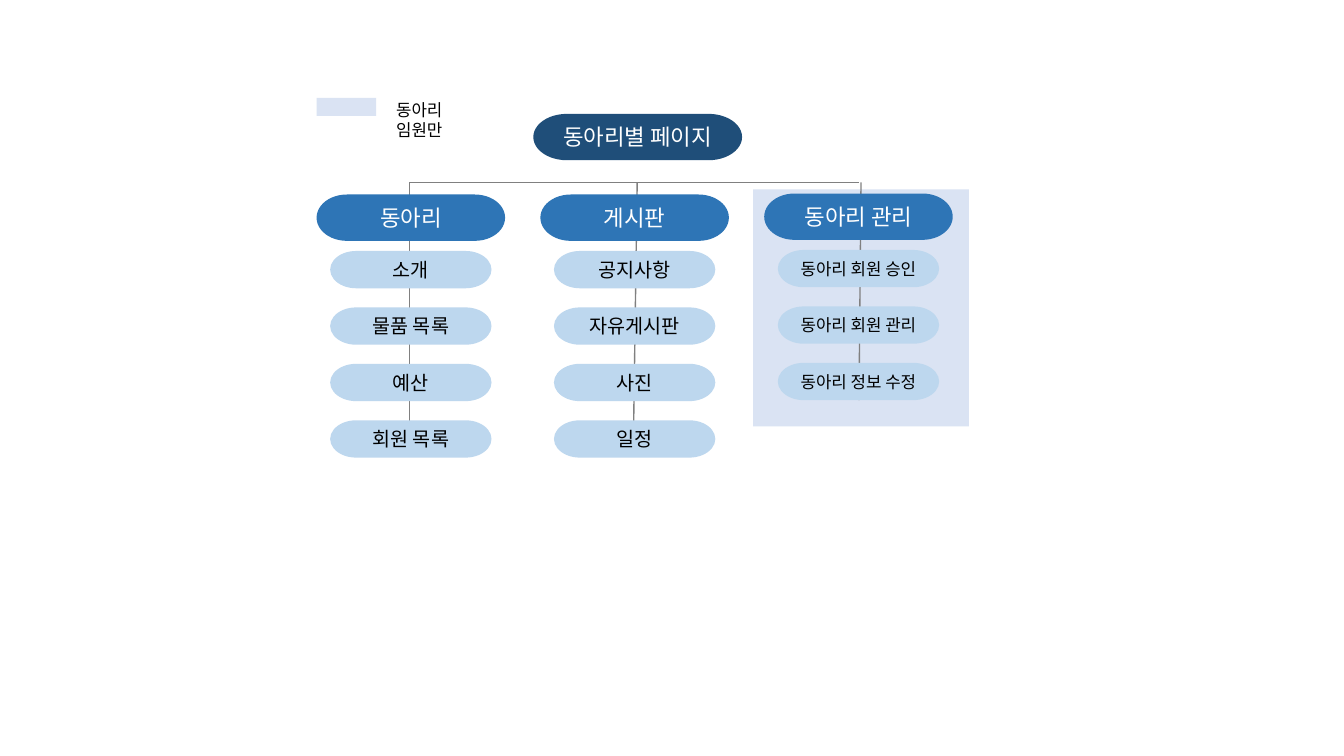
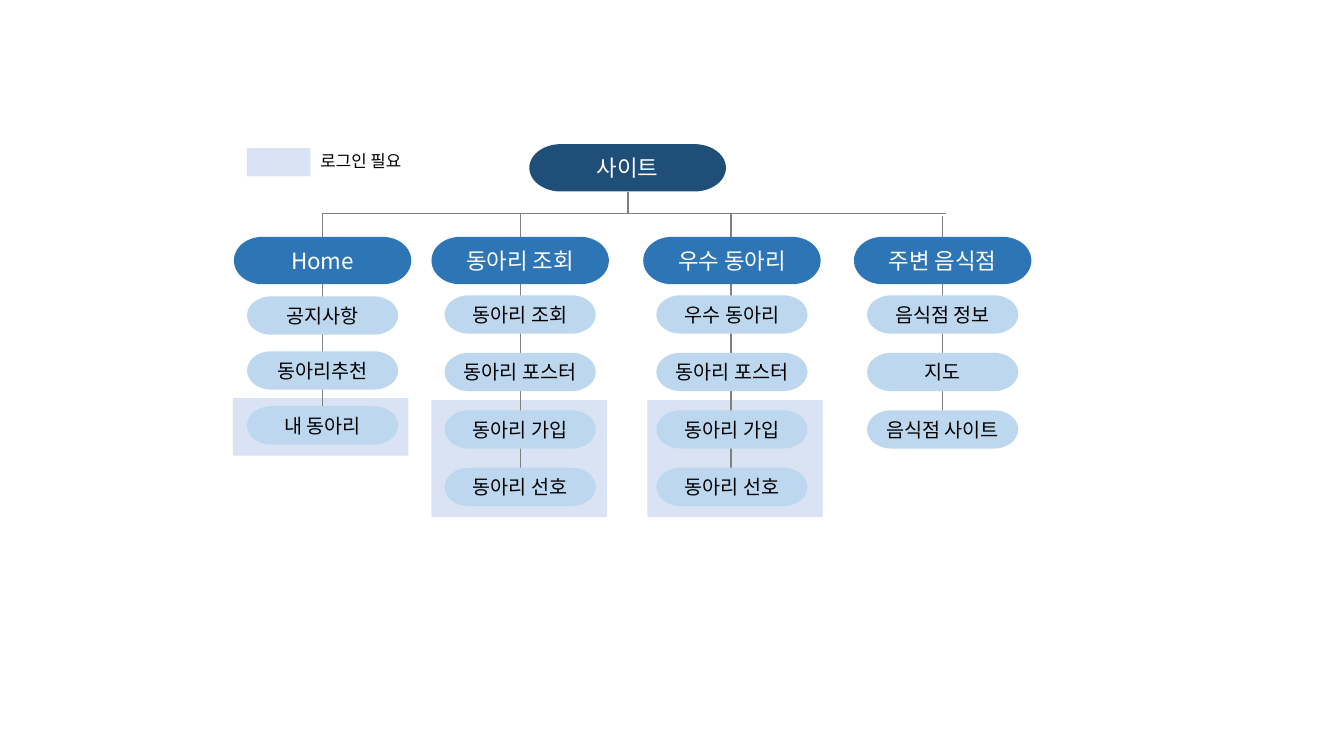
"""Build two site-map slides as trees of rounded nodes."""
from lxml import etree
from pptx import Presentation
from pptx.dml.color import RGBColor
from pptx.enum.shapes import MSO_CONNECTOR as CONN, MSO_SHAPE as SHAPE
from pptx.enum.text import MSO_ANCHOR as ANCHOR, PP_ALIGN as ALIGN
from pptx.oxml.ns import qn
from pptx.util import Inches, Pt

FONT = "Noto Sans CJK KR"
PANEL, RULE = "DAE3F3", "808080"
STYLES = {
    "root": {"fill": "1F4E79", "color": "FFFFFF", "size": 16},
    "head": {"fill": "2E75B6", "color": "FFFFFF", "size": 16},
    "item": {"fill": "BDD7EE", "color": "000000", "size": 14},
}

SLIDES = [
    {
        "legend": {"text": "동아리 임원만", "swatch": (3.14, 0.97, 0.59, 0.18),
                   "label": (3.83, 0.94, 1.08, 0.29)},
        "root": ("동아리별 페이지", (5.29, 1.13, 2.07, 0.46)),
        "panels": [(7.47, 1.88, 2.14, 2.35)],
        "rules": [(4.06, 1.81, 8.52, 1.81)],
        "head_size": (1.87, 0.46), "item_size": (1.6, 0.37),
        "columns": [
            {"head": "동아리", "at": (3.14, 1.93), "first": 2.49, "pitch": 0.56,
             "trunk": (4.06, 1.82, 4.06, 4.47),
             "items": ["소개", "물품 목록", "예산", "회원 목록"]},
            {"head": "게시판", "at": (5.36, 1.93), "first": 2.49, "pitch": 0.56,
             "trunk": (6.32, 1.81, 6.28, 4.53),
             "items": ["공지사항", "자유게시판", "사진", "일정"]},
            {"head": "동아리 관리", "at": (7.58, 1.92), "first": 2.48, "pitch": 0.56,
             "trunk": (8.54, 1.81, 8.52, 3.97), "size": 12,
             "items": ["동아리 회원 승인", "동아리 회원 관리", "동아리 정보 수정"]},
        ],
    },
    {
        "legend": {"text": "로그인 필요", "swatch": (2.45, 1.47, 0.63, 0.28),
                   "label": (3.08, 1.45, 1.1, 0.3)},
        "root": ("사이트", (5.25, 1.43, 1.95, 0.47)),
        "panels": [(6.42, 3.97, 1.74, 1.16), (4.28, 3.97, 1.74, 1.16),
                   (2.31, 3.95, 1.74, 0.57)],
        "rules": [(3.19, 2.12, 9.38, 2.12), (6.23, 1.9, 6.23, 2.11)],
        "head_size": (1.76, 0.47), "item_size": (1.5, 0.38),
        "columns": [
            {"head": "Home", "at": (2.32, 2.35), "first": 2.94, "pitch": 0.545,
             "trunk": (3.2, 2.12, 3.2, 4.4),
             "items": ["공지사항", "동아리추천", "내 동아리"]},
            {"head": "동아리 조회", "at": (4.28, 2.35), "first": 2.93, "pitch": 0.57,
             "trunk": (5.16, 2.12, 5.16, 5.01),
             "items": ["동아리 조회", "동아리 포스터", "동아리 가입", "동아리 선호"]},
            {"head": "우수 동아리", "at": (6.38, 2.35), "first": 2.93, "pitch": 0.57,
             "trunk": (7.25, 2.12, 7.25, 4.93),
             "items": ["우수 동아리", "동아리 포스터", "동아리 가입", "동아리 선호"]},
            {"head": "주변 음식점", "at": (8.47, 2.35), "first": 2.93, "pitch": 0.57,
             "trunk": (9.35, 2.14, 9.35, 4.28),
             "items": ["음식점 정보", "지도", "음식점 사이트"]},
        ],
    },
]


def rgb(value):
    """Turn a hex string into a colour."""
    return RGBColor.from_string(value)


def inches(values):
    """Convert a sequence of numbers to lengths."""
    return [Inches(v) for v in values]


def add_box(s, kind, box, fill):
    """Add a flat filled shape without outline."""
    sp = s.shapes.add_shape(kind, *inches(box))
    sp.shadow.inherit = False
    sp.fill.solid()
    sp.fill.fore_color.rgb = rgb(fill)
    sp.line.fill.background()
    return sp


def add_rule(s, ends):
    """Add a thin grey line."""
    line = s.shapes.add_connector(CONN.STRAIGHT, *inches(ends))
    line.line.color.rgb = rgb(RULE)
    line.line.width = Pt(1)
    etree.SubElement(line._element.spPr, qn("a:effectLst"))


def set_text(sp, text, size, color, align, **frame):
    """Write one formatted paragraph into a shape."""
    tf = sp.text_frame
    for name, value in {"word_wrap": True, **frame}.items():
        setattr(tf, name, value)
    p = tf.paragraphs[0]
    p.alignment = align
    r = p.add_run()
    r.text = text
    for name, value in {"name": FONT, "size": Pt(size)}.items():
        setattr(r.font, name, value)
    r.font.color.rgb = rgb(color)


def add_node(s, role, text, box, size=None):
    """Add a rounded node with centred text."""
    style = STYLES[role]
    sp = add_box(s, SHAPE.FLOWCHART_TERMINATOR, box, style["fill"])
    set_text(sp, text, size or style["size"], style["color"], ALIGN.CENTER,
             vertical_anchor=ANCHOR.MIDDLE, margin_left=0, margin_right=0,
             margin_top=0, margin_bottom=0)


def add_column(s, column, head_size, item_size):
    """Add a heading node and its evenly spaced items."""
    left = column["at"][0] + (head_size[0] - item_size[0]) / 2
    add_node(s, "head", column["head"], (*column["at"], *head_size))
    for i, text in enumerate(column["items"]):
        top = column["first"] + i * column["pitch"]
        add_node(s, "item", text, (left, top, *item_size), column.get("size"))


def add_legend(s, legend):
    """Add the colour swatch and its label."""
    add_box(s, SHAPE.RECTANGLE, legend["swatch"], PANEL)
    label = s.shapes.add_textbox(*inches(legend["label"]))
    set_text(label, legend["text"], 12, "000000", ALIGN.LEFT)


def add_site_map(prs, site):
    """Add one slide with its panels, lines and nodes."""
    s = prs.slides.add_slide(prs.slide_layouts[6])
    for panel in site["panels"]:
        add_box(s, SHAPE.RECTANGLE, panel, PANEL)
    for ends in site["rules"] + [c["trunk"] for c in site["columns"]]:
        add_rule(s, ends)
    for column in site["columns"]:
        add_column(s, column, site["head_size"], site["item_size"])
    add_node(s, "root", *site["root"])
    add_legend(s, site["legend"])


def main():
    """Build and save the presentation."""
    prs = Presentation()
    prs.slide_width, prs.slide_height = Inches(13.33), Inches(7.5)
    for site in SLIDES:
        add_site_map(prs, site)
    prs.save("out.pptx")


if __name__ == "__main__":
    main()
